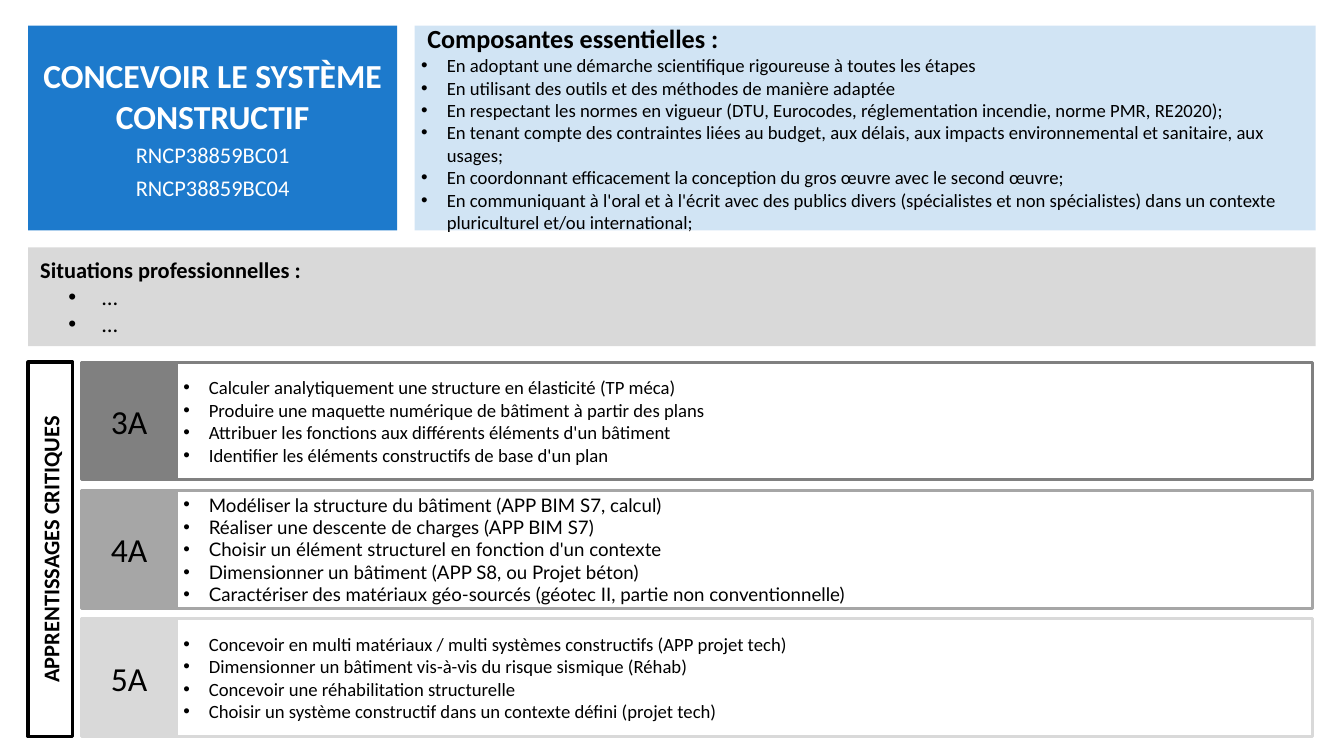
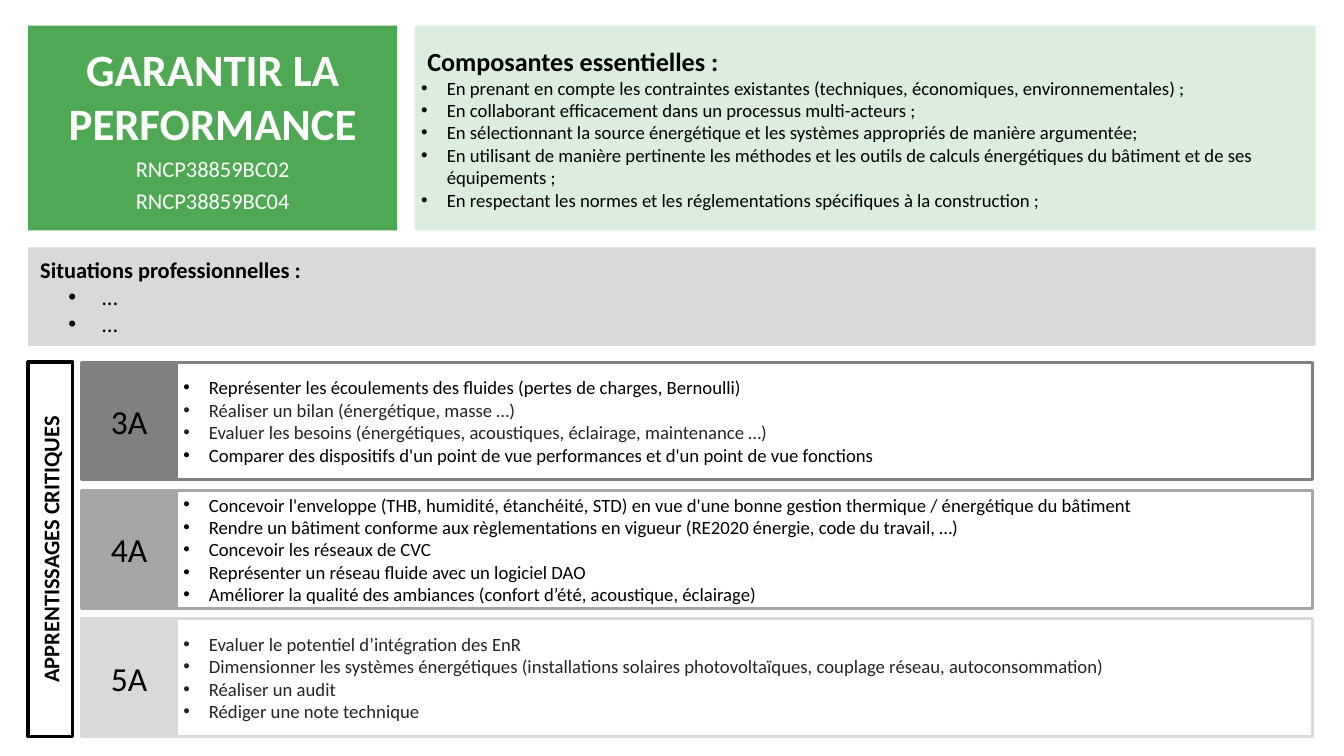
import pptx
import pptx.util
import pptx.dml.color
import pptx.enum.shapes
import pptx.enum.text
from lxml import etree
from pptx.oxml.ns import qn
from pptx.util import Inches

COLORS = {
    "blue": "1D7ACC", "green": "4FA954", "white": "FFFFFF", "black": "000000",
    "ink": "242424", "dark": "808080", "mid": "A6A6A6", "light": "D9D9D9",
}
FONT = "Calibri"
YEARS = [("3A", "dark"), ("4A", "mid"), ("5A", "light")]

SKILLS = [
    {
        "title": "CONCEVOIR LE SYSTÈME CONSTRUCTIF",
        "title_size": 36,
        "color": "blue",
        "codes": ["RNCP38859BC01", "RNCP38859BC04"],
        "components": [
            "En adoptant une démarche scientifique rigoureuse à toutes les étapes",
            "En utilisant des outils et des méthodes de manière adaptée",
            "En respectant les normes en vigueur (DTU, Eurocodes, réglementation incendie, norme PMR, RE2020);",
            "En tenant compte des contraintes liées au budget, aux délais, aux impacts environnemental et sanitaire, aux usages;",
            "En coordonnant efficacement la conception du gros œuvre avec le second œuvre;",
            "En communiquant à l'oral et à l'écrit avec des publics divers (spécialistes et non spécialistes) dans un contexte pluriculturel et/ou international;",
        ],
        "learning": {
            "3A": [
                "Calculer analytiquement une structure en élasticité (TP méca)",
                "Produire une maquette numérique de bâtiment à partir des plans",
                "Attribuer les fonctions aux différents éléments d'un bâtiment",
                "Identifier les éléments constructifs de base d'un plan",
            ],
            "4A": [
                "Modéliser la structure du bâtiment (APP BIM S7, calcul)",
                "Réaliser une descente de charges (APP BIM S7)",
                "Choisir un élément structurel en fonction d'un contexte",
                "Dimensionner un bâtiment (APP S8, ou Projet béton)",
                "Caractériser des matériaux géo-sourcés (géotec II, partie non conventionnelle)",
            ],
            "5A": [
                "Concevoir en multi matériaux / multi systèmes constructifs (APP projet tech)",
                "Dimensionner un bâtiment vis-à-vis du risque sismique (Réhab)",
                "Concevoir une réhabilitation structurelle",
                "Choisir un système constructif dans un contexte défini (projet tech)",
            ],
        },
        "fonts": {"4A": "Lato"},
        "ink_lines": {},
    },
    {
        "title": "GARANTIR LA PERFORMANCE",
        "title_size": 48,
        "color": "green",
        "codes": ["RNCP38859BC02", "RNCP38859BC04"],
        "components": [
            "En prenant en compte les contraintes existantes (techniques, économiques, environnementales) ;",
            "En collaborant efficacement dans un processus multi-acteurs ;",
            "En sélectionnant la source énergétique et les systèmes appropriés de manière argumentée;",
            "En utilisant de manière pertinente les méthodes et les outils de calculs énergétiques du bâtiment et de ses équipements ;",
            "En respectant les normes et les réglementations spécifiques à la construction ;",
        ],
        "learning": {
            "3A": [
                "Représenter les écoulements des fluides (pertes de charges, Bernoulli)",
                "Réaliser un bilan (énergétique, masse …)",
                "Evaluer les besoins (énergétiques, acoustiques, éclairage, maintenance …)",
                "Comparer des dispositifs d'un point de vue performances et d'un point de vue fonctions",
            ],
            "4A": [
                "Concevoir l'enveloppe (THB, humidité, étanchéité, STD) en vue d'une bonne gestion thermique / énergétique du bâtiment",
                "Rendre un bâtiment conforme aux règlementations en vigueur (RE2020 énergie, code du travail, …)",
                "Concevoir les réseaux de CVC",
                "Représenter un réseau fluide avec un logiciel DAO",
                "Améliorer la qualité des ambiances (confort d’été, acoustique, éclairage)",
            ],
            "5A": [
                "Evaluer le potentiel d’intégration des EnR",
                "Dimensionner les systèmes énergétiques (installations solaires photovoltaïques, couplage réseau, autoconsommation)",
                "Réaliser un audit",
                "Rédiger une note technique",
            ],
        },
        "fonts": {},
        "ink_lines": {"3A": [1, 2], "5A": [0, 1, 2, 3]},
    },
]

LEFT, RIGHT = 0.42, 19.58
HEADER_TOP, HEADER_HEIGHT = 0.38, 3.05
TITLE_WIDTH, COMPONENTS_LEFT = 5.49, 6.17
SITUATIONS_TOP, SITUATIONS_HEIGHT = 3.68, 1.47
ROWS_TOP, ROW_HEIGHT, ROW_STEP = 5.39, 1.75, 1.91
SIDE_WIDTH = 0.66
YEAR_LEFT, YEAR_WIDTH = 1.21, 1.42
ROW_LEFT, ROW_WIDTH = YEAR_LEFT + YEAR_WIDTH, 16.9


def rgb(name):
    return pptx.dml.color.RGBColor.from_string(COLORS[name])


def add_box(page, left, top, width, height, fill, line=None, weight=3, alpha=None):
    """Add a rectangle; alpha is the opacity of its fill in percent."""
    box = page.shapes.add_shape(
        pptx.enum.shapes.MSO_SHAPE.RECTANGLE,
        Inches(left), Inches(top), Inches(width), Inches(height))
    box.shadow.inherit = False
    box.fill.solid()
    box.fill.fore_color.rgb = rgb(fill)
    if alpha:
        color = box.fill._xPr.find(qn("a:solidFill"))[0]
        etree.SubElement(color, qn("a:alpha")).set("val", str(alpha * 1000))
    if line:
        box.line.color.rgb = rgb(line)
        box.line.width = pptx.util.Pt(weight)
    else:
        box.line.fill.background()
    box.text_frame.word_wrap = True
    box.text_frame.vertical_anchor = pptx.enum.text.MSO_ANCHOR.MIDDLE
    return box


def write(box, text, size, color="black", bold=False, font=FONT, centered=False,
          after=0, margin=0, hanging=0, level=0):
    """Add a paragraph; a hanging indent gives it a bullet."""
    frame = box.text_frame
    para = frame.add_paragraph() if frame.text else frame.paragraphs[0]
    para.text = text
    para.level = level
    para.alignment = getattr(pptx.enum.text.PP_ALIGN, "CENTER" if centered else "LEFT")
    para.space_after = pptx.util.Pt(after)
    properties = para._p.get_or_add_pPr()
    properties.set("marL", str(Inches(margin)))
    properties.set("indent", str(-Inches(hanging)))
    if hanging:
        etree.SubElement(properties, qn("a:buFont")).set("typeface", "Arial")
        etree.SubElement(properties, qn("a:buChar")).set("char", "•")
    span = para.runs[0].font
    span.name, span.size, span.bold = font, pptx.util.Pt(size), bold
    span.color.rgb = rgb(color)


def add_header(page, skill):
    title = add_box(page, LEFT, HEADER_TOP, TITLE_WIDTH, HEADER_HEIGHT, skill["color"])
    write(title, skill["title"], skill["title_size"], "white", bold=True, centered=True, after=6)
    for code in skill["codes"]:
        write(title, code, 24, "white", centered=True, after=6)

    components = add_box(page, COMPONENTS_LEFT, HEADER_TOP, RIGHT - COMPONENTS_LEFT,
                         HEADER_HEIGHT, skill["color"], alpha=20)
    write(components, "Composantes essentielles :", 28, bold=True, margin=0.09)
    for component in skill["components"]:
        write(components, component, 20, margin=0.38, hanging=0.38)


def add_situations(page):
    situations = add_box(page, LEFT, SITUATIONS_TOP, RIGHT - LEFT, SITUATIONS_HEIGHT, "light")
    write(situations, "Situations professionnelles :", 24, bold=True, margin=0.08)
    for situation in ["…", "…"]:
        write(situations, situation, 24, margin=1, hanging=0.5, level=1)


def add_learning(page, skill):
    length = ROW_STEP * (len(YEARS) - 1) + ROW_HEIGHT
    side = add_box(page, LEFT + (SIDE_WIDTH - length) / 2, ROWS_TOP + (length - SIDE_WIDTH) / 2,
                   length, SIDE_WIDTH, "white", "black", 3.75)
    side.rotation = 270
    write(side, "APPRENTISSAGES CRITIQUES", 24, bold=True, centered=True)

    for index, (year, shade) in enumerate(YEARS):
        top = ROWS_TOP + index * ROW_STEP
        row = add_box(page, ROW_LEFT, top, ROW_WIDTH, ROW_HEIGHT, "white", shade)
        for number, text in enumerate(skill["learning"][year]):
            color = "ink" if number in skill["ink_lines"].get(year, []) else "black"
            write(row, text, 20, color, font=skill["fonts"].get(year, FONT),
                  margin=0.38, hanging=0.38)
        label = add_box(page, YEAR_LEFT, top, YEAR_WIDTH, ROW_HEIGHT, shade, shade)
        write(label, year, 36, centered=True)


def main():
    deck = pptx.Presentation()
    deck.slide_width, deck.slide_height = Inches(20), Inches(11.25)
    for skill in SKILLS:
        page = deck.slides.add_slide(deck.slide_layouts[6])
        add_header(page, skill)
        add_situations(page)
        add_learning(page, skill)
    deck.save("out.pptx")


if __name__ == "__main__":
    main()
